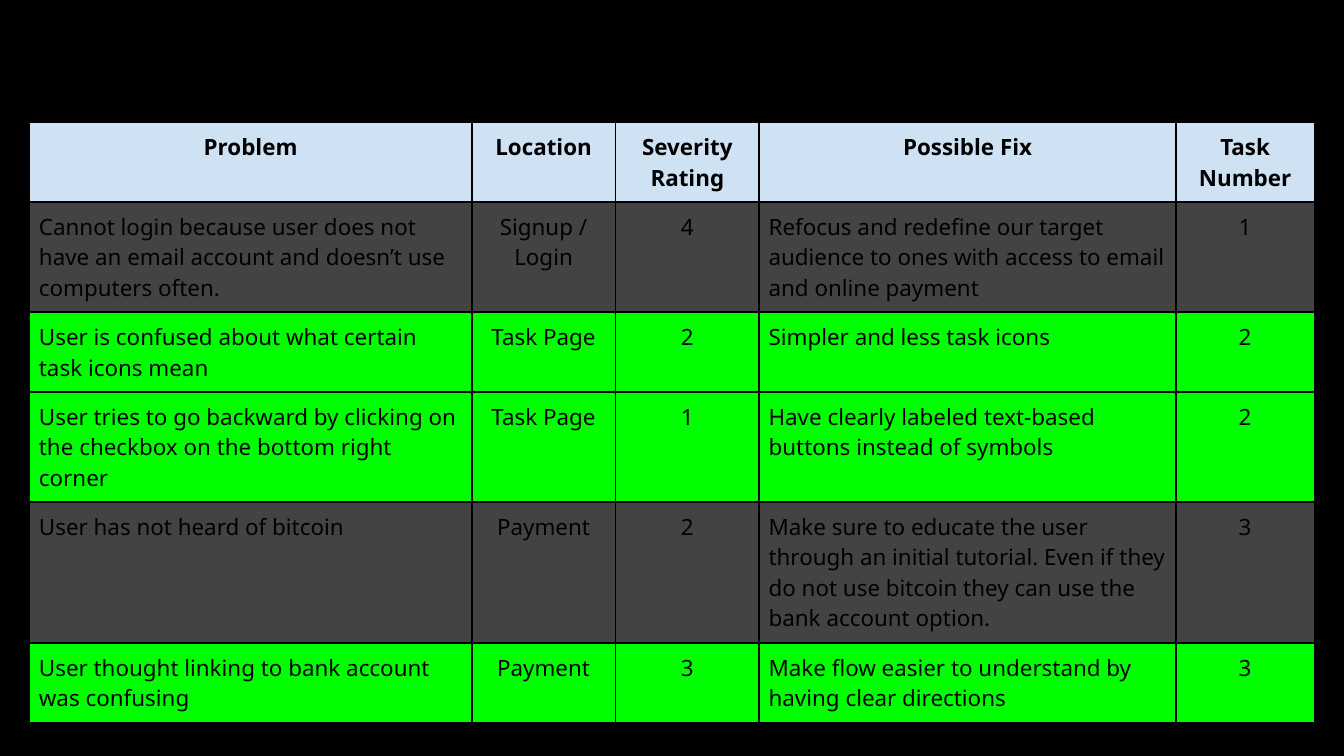
import pptx
import pptx.dml.color
import pptx.enum.text
import pptx.oxml
import pptx.oxml.ns
import pptx.util

Inches = pptx.util.Inches
RGBColor = pptx.dml.color.RGBColor
PP_ALIGN = pptx.enum.text.PP_ALIGN

BLACK = RGBColor(0x00, 0x00, 0x00)
LIGHT_BLUE = RGBColor(0xCF, 0xE2, 0xF3)
DARK_GRAY = RGBColor(0x43, 0x43, 0x43)
GREEN = RGBColor(0x00, 0xFF, 0x00)

COLUMN_WIDTHS = [3.29, 1.07, 1.07, 3.1, 1.03]
LEFT_ALIGNED_COLUMNS = (0, 3)
ROWS = [
    (0.59, LIGHT_BLUE, ["Problem", "Location", "Severity Rating", "Possible Fix", "Task Number"]),
    (0.82, DARK_GRAY, [
        "Cannot login because user does not have an email account and doesn’t use computers often.",
        "Signup / Login", "4",
        "Refocus and redefine our target audience to ones with access to email and online payment",
        "1"]),
    (0.59, GREEN, [
        "User is confused about what certain task icons mean",
        "Task Page", "2", "Simpler and less task icons", "2"]),
    (0.82, GREEN, [
        "User tries to go backward by clicking on the checkbox on the bottom right corner",
        "Task Page", "1", "Have clearly labeled text-based buttons instead of symbols", "2"]),
    (1.04, DARK_GRAY, [
        "User has not heard of bitcoin",
        "Payment", "2",
        "Make sure to educate the user through an initial tutorial. "
        "Even if they do not use bitcoin they can use the bank account option.",
        "3"]),
    (0.59, GREEN, [
        "User thought linking to bank account was confusing",
        "Payment", "3", "Make flow easier to understand by having clear directions", "3"]),
]


def add_borders(cell):
    properties = cell._tc.get_or_add_tcPr()
    for side in ("lnL", "lnR", "lnT", "lnB"):
        properties.append(pptx.oxml.parse_xml(
            f'<a:{side} {pptx.oxml.ns.nsdecls("a")} w="{pptx.util.Pt(1)}">'
            f'<a:solidFill><a:srgbClr val="{BLACK}"/></a:solidFill></a:{side}>'))


presentation = pptx.Presentation()
presentation.slide_width = Inches(10)
presentation.slide_height = Inches(10) * 9 // 16
slide = presentation.slides.add_slide(presentation.slide_layouts[6])
slide.background.fill.solid()
slide.background.fill.fore_color.rgb = BLACK

table = slide.shapes.add_table(
    len(ROWS), len(COLUMN_WIDTHS), Inches(0.22), Inches(0.91),
    Inches(sum(COLUMN_WIDTHS)), Inches(sum(row[0] for row in ROWS))).table
table.horz_banding = False
for column, width in zip(table.columns, COLUMN_WIDTHS):
    column.width = Inches(width)

for row_index, (height, fill_color, texts) in enumerate(ROWS):
    table.rows[row_index].height = Inches(height)
    is_header = row_index == 0
    for column_index, text in enumerate(texts):
        cell = table.cell(row_index, column_index)
        cell.margin_left = cell.margin_right = Inches(0.07)
        cell.margin_top = cell.margin_bottom = Inches(0.07)
        add_borders(cell)
        cell.fill.solid()
        cell.fill.fore_color.rgb = fill_color
        cell.text = text
        paragraph = cell.text_frame.paragraphs[0]
        is_left = column_index in LEFT_ALIGNED_COLUMNS and not is_header
        paragraph.alignment = PP_ALIGN.LEFT if is_left else PP_ALIGN.CENTER
        paragraph.font.name = "Noto Sans"
        paragraph.font.size = pptx.util.Pt(12)
        paragraph.font.bold = is_header
        paragraph.font.color.rgb = BLACK

presentation.save("out.pptx")
